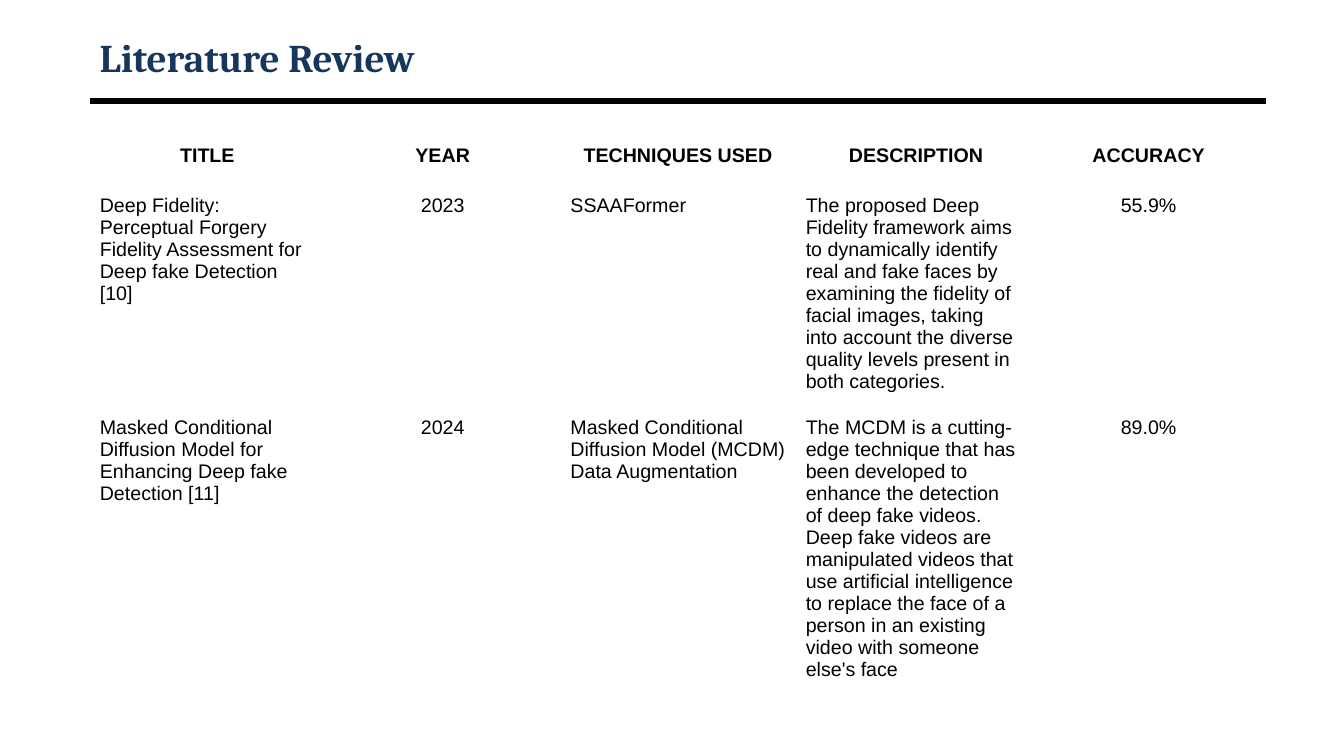
from pptx import Presentation
from pptx.dml.color import RGBColor
from pptx.enum.shapes import MSO_CONNECTOR as Link
from pptx.enum.text import MSO_ANCHOR as Anchor, PP_ALIGN as Align
from pptx.oxml.ns import qn
from pptx.util import Inches, Pt

HEADS = ["TITLE", "YEAR", "TECHNIQUES USED", " DESCRIPTION", "ACCURACY"]
PAPERS = [
    ["Deep Fidelity:\nPerceptual Forgery Fidelity Assessment for Deep fake Detection [10]",
     "2023",
     "SSAAFormer",
     "The proposed Deep Fidelity framework aims to dynamically identify real and fake "
     "faces by examining the fidelity of facial images, taking into account the diverse "
     "quality levels present in both categories.",
     "55.9%"],
    ["Masked Conditional Diffusion Model for Enhancing Deep fake Detection [11]",
     "2024",
     "Masked Conditional Diffusion Model (MCDM) Data Augmentation",
     "The MCDM is a cutting-edge technique that has been developed to enhance the "
     "detection of deep fake videos. Deep fake videos are manipulated videos that use "
     "artificial intelligence to replace the face of a person in an existing video with "
     "someone else's face",
     "89.0%"],
]
HIGHS = [0.49, 2.14, 2.83]
MIDDLE = {1, 4}


def paint(code):
    """Turn a hex string into a colour."""
    return RGBColor.from_string(code)


def style(frame, face, size, code, bold=False, align=Align.LEFT):
    """Format all the text in a frame."""
    for para in frame.paragraphs:
        para.alignment = align
        for run in para.runs:
            font = run.font
            font.name, font.size, font.bold = face, Pt(size), bold
            font.color.rgb = paint(code)


def add_head(slide, left, top, width, height):
    """Place the heading and the thick rule below it."""
    box = slide.shapes.add_textbox(Inches(left), Inches(top), Inches(width), Inches(height))
    frame = box.text_frame
    frame.word_wrap = True
    frame.vertical_anchor = Anchor.MIDDLE
    frame.text = "Literature Review"
    style(frame, "Cambria", 28, "17365D", bold=True)

    level = Inches(top + height + 0.17)
    rule = slide.shapes.add_connector(
        Link.STRAIGHT, Inches(left), level, Inches(left + width), level)
    rule.line.color.rgb = paint("000000")
    rule.line.width = Pt(4.5)
    props = rule._element.spPr
    props.append(props.makeelement(qn("a:effectLst"), {}))


def add_papers(slide, left, top, width):
    """Place the table of reviewed papers."""
    rows = [HEADS] + PAPERS
    table = slide.shapes.add_table(
        len(rows), len(HEADS), Inches(left), Inches(top),
        Inches(width), Inches(sum(HIGHS))).table
    table.first_row = table.horz_banding = False
    for row, high in zip(table.rows, HIGHS):
        row.height = Inches(high)
    for r, texts in enumerate(rows):
        for c, text in enumerate(texts):
            cell = table.cell(r, c)
            cell.fill.background()
            cell.text_frame.text = text
            align = Align.CENTER if r == 0 or c in MIDDLE else Align.LEFT
            style(cell.text_frame, "Arial", 14, "000000", r == 0, align)


def main():
    """Build and save the slide."""
    deck = Presentation()
    deck.slide_width, deck.slide_height = Inches(13.33), Inches(7.5)
    slide = deck.slides.add_slide(deck.slide_layouts[6])
    add_head(slide, 0.89, 0.3, 11.67, 0.53)
    add_papers(slide, 0.89, 1.39, 11.67)
    deck.save("out.pptx")


if __name__ == "__main__":
    main()
